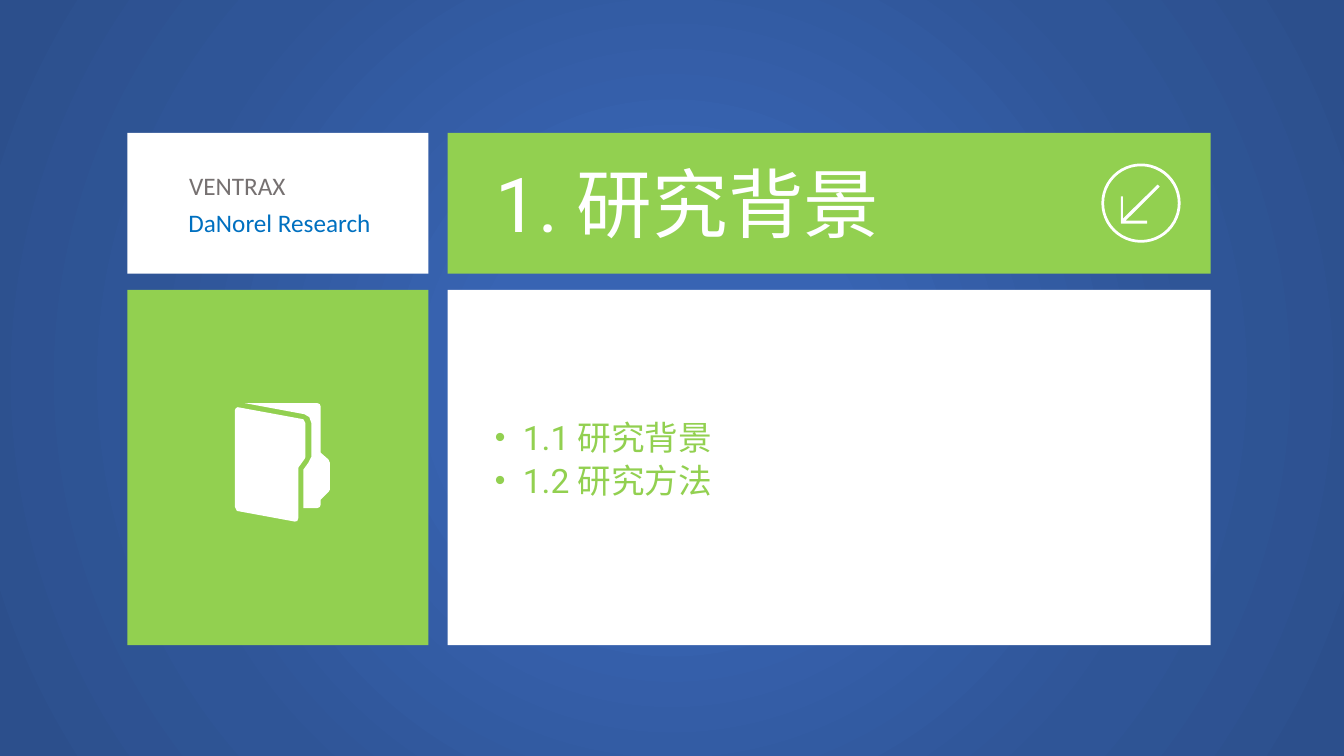
from lxml import etree
from pptx import Presentation
from pptx.dml.color import RGBColor
from pptx.enum.shapes import MSO_SHAPE
from pptx.enum.text import MSO_AUTO_SIZE
from pptx.oxml import parse_xml
from pptx.oxml.ns import nsdecls, qn
from pptx.util import Pt

RECTANGLE, DONUT = MSO_SHAPE.RECTANGLE, MSO_SHAPE.DONUT
GROW = MSO_AUTO_SIZE.SHAPE_TO_FIT_TEXT
WIDTH, HEIGHT = 960, 540
GREEN, WHITE = "92D050", "FFFFFF"

# Content: text, left, top, width, height, size, font, colour
LABELS = [
    ("1. 研究背景", 347, 108.6, 335, 73, 54, "Roboto", WHITE),
    ("DaNorel Research", 127.5, 144.7, 157, 29, 18, "Calibri", "0070C0"),
    ("VENTRAX", 128, 118.2, 124, 29, 18, "Calibri", "767171"),
]
TOPICS = ["1.1 研究背景", "1.2 研究方法"]

# Background gradient: position in percent, colour
GRADIENT = [(0, "3864B3"), (23, "3864B3"), (69, "2F5597"), (97, "2C4F8C")]

# Tile grid: (start, length) of each column and row, then colours by row
COLUMNS = [(91, 215), (319.8, 545)]
ROWS = [(95, 100.5), (207, 253.8)]
TILE_COLOURS = [(WHITE, GREEN), (GREEN, WHITE)]

# Icon outlines
ARROW = [(819.4, 157.7), (819.4, 159.8), (800.6, 159.8), (800.6, 140.4),
         (802.1, 140.4), (802.1, 156.2), (826.9, 131.9), (828.4, 133.4),
         (804, 157.7)]
FOLDER_BACK = [(175, 288), (226.8, 288), (228.4, 288.7), (229, 290.2),
               (229, 323.3), (234.7, 328.3), (235.6, 330.5), (235.6, 349.9),
               (234.7, 351.4), (229, 357.1), (229, 360.7), (228.4, 362.2),
               (226.8, 362.9), (216.7, 362.9), (216.7, 335.5), (220.3, 330.5),
               (222.5, 326.2), (222.5, 302.4), (221, 298), (217.4, 295.9)]
FOLDER_FRONT = [(168.5, 291.6), (169.9, 290.9), (216.7, 299.5), (218.2, 302.4),
                (218.2, 326.2), (217.8, 327.6), (213.1, 334.1), (213.1, 370.1),
                (212.4, 372.2), (210.6, 372.6), (169.2, 365), (167.8, 362.2),
                (167.8, 293)]

presentation = Presentation()
presentation.slide_width, presentation.slide_height = Pt(WIDTH), Pt(HEIGHT)
slide = presentation.slides.add_slide(presentation.slide_layouts[6])


def paint(shape, colour):
    shape.shadow.inherit = False
    shape.line.fill.background()
    shape.fill.solid()
    shape.fill.fore_color.rgb = RGBColor.from_string(colour)


def add_preset(kind, left, top, width, height, colour):
    shape = slide.shapes.add_shape(kind, Pt(left), Pt(top), Pt(width), Pt(height))
    paint(shape, colour)
    return shape


def add_outline(points, colour):
    start, *others = [(Pt(x), Pt(y)) for x, y in points]
    builder = slide.shapes.build_freeform(*start)
    builder.add_line_segments(others, close=True)
    paint(builder.convert_to_shape(), colour)


def add_text(lines, left, top, width, height, size, font, colour):
    box = slide.shapes.add_textbox(Pt(left), Pt(top), Pt(width), Pt(height))
    frame = box.text_frame
    frame.word_wrap = True
    frame.auto_size = GROW
    frame.text = "\n".join(lines)
    for paragraph in frame.paragraphs:
        paragraph.font.size = Pt(size)
        paragraph.font.name = font
        paragraph.font.color.rgb = RGBColor.from_string(colour)
    return frame


def add_bullet(paragraph):
    properties = paragraph._p.get_or_add_pPr()
    properties.set("marL", str(Pt(20)))
    properties.set("indent", str(Pt(-20)))
    bullet_size = etree.Element(qn("a:buSzPct"), val="90000")
    bullet_font = etree.Element(qn("a:buFont"), typeface="Arial")
    bullet = etree.Element(qn("a:buChar"), char="•")
    properties.find(qn("a:defRPr")).addprevious(bullet_size)
    bullet_size.addnext(bullet_font)
    bullet_font.addnext(bullet)


# Background with a radial gradient
background = add_preset(RECTANGLE, 0, 0, WIDTH, HEIGHT, WHITE)
stops = "".join(
    f'<a:gs pos="{position * 1000}"><a:srgbClr val="{colour}"/></a:gs>'
    for position, colour in GRADIENT)
gradient = parse_xml(
    f'<a:gradFill {nsdecls("a")}><a:gsLst>{stops}</a:gsLst><a:path path="circle">'
    '<a:fillToRect l="50000" t="50000" r="50000" b="50000"/></a:path></a:gradFill>')
solid = background._element.spPr.find(qn("a:solidFill"))
solid.getparent().replace(solid, gradient)

# Tiles
for (top, height), colours in zip(ROWS, TILE_COLOURS):
    for (left, width), colour in zip(COLUMNS, colours):
        add_preset(RECTANGLE, left, top, width, height, colour)

# Icons
ring = add_preset(DONUT, 786.7, 116.8, 56.6, 56.6, WHITE)
ring.adjustments[0] = 0.035
for outline in (ARROW, FOLDER_BACK, FOLDER_FRONT):
    add_outline(outline, WHITE)

# Labels and topic list
for text, *layout in LABELS:
    add_text([text], *layout)
topics = add_text(TOPICS, 348.5, 296, 489.6, 70, 24, "Roboto", GREEN)
topics.margin_left = topics.margin_right = Pt(5)
topics.margin_top = topics.margin_bottom = Pt(5)
for paragraph in topics.paragraphs:
    paragraph.line_spacing = 0.9
    paragraph.space_before = Pt(4.8)
    add_bullet(paragraph)

presentation.save("out.pptx")
